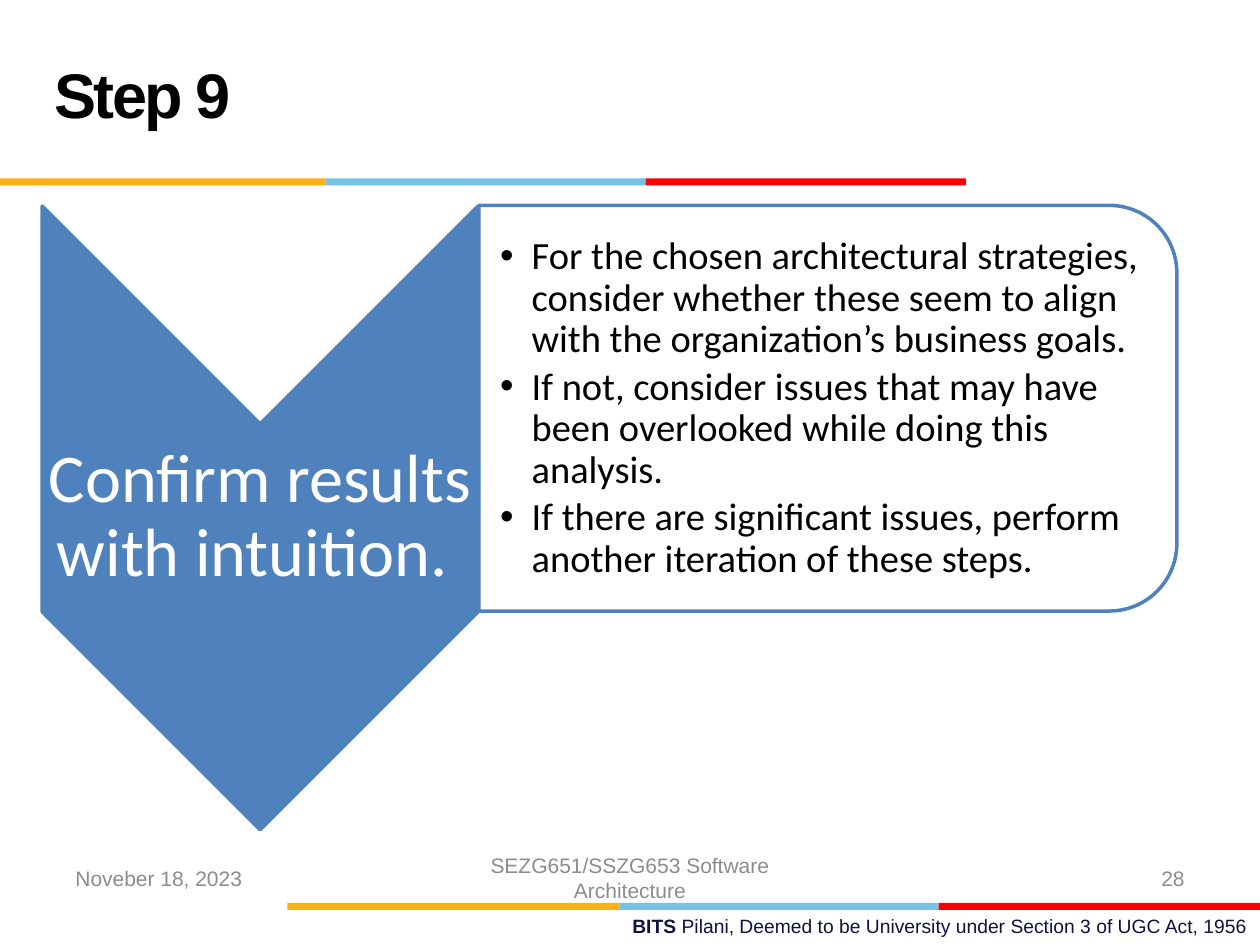
from itertools import pairwise
from lxml.etree import SubElement
from pptx import Presentation
from pptx.dml.color import RGBColor
from pptx.enum.shapes import MSO_SHAPE
from pptx.enum.text import MSO_ANCHOR, PP_ALIGN
from pptx.oxml.ns import qn
from pptx.util import Inches, Pt

COLS, ROWS = 120, 90
WIDTH, HEIGHT = Inches(10), Inches(7.5)
COLORS = {
    "amber": "FCB017", "sky": "76C2E5", "red": "FF0000", "blue": "4F81BD",
    "white": "FFFFFF", "black": "000000", "gray": "8C8C8C", "navy": "101141",
}
POINTS = [
    "For the chosen architectural strategies, consider whether these seem to align with the organization’s business goals.",
    "If not, consider issues that may have been overlooked while doing this analysis.",
    "If there are significant issues, perform another iteration of these steps.",
]


def color(name):
    return RGBColor.from_string(COLORS[name])


def grid(x, y, w, h):
    cx, cy = WIDTH / COLS, HEIGHT / ROWS
    return [round(v) for v in (x * cx, y * cy, w * cx, h * cy)]


def add_shape(s, kind, box, fill, line=None, rotation=0):
    sp = s.shapes.add_shape(kind, *grid(*box))
    sp.shadow.inherit = False
    sp.rotation = rotation
    sp.fill.solid()
    sp.fill.fore_color.rgb = color(fill)
    if line:
        sp.line.color.rgb = color(line)
        sp.line.width = Pt(2)
    else:
        sp.line.fill.background()


def add_stripe(s, edges, y):
    for (left, right), fill in zip(pairwise(edges), ("amber", "sky", "red")):
        add_shape(s, MSO_SHAPE.RECTANGLE, (left, y, right - left, 0.66), fill)


def add_text(s, box, lines, size, ink, font="Arial", align=PP_ALIGN.LEFT,
             anchor=MSO_ANCHOR.MIDDLE, insets=None, spacing=None):
    tf = s.shapes.add_textbox(*grid(*box)).text_frame
    tf.word_wrap = True
    tf.vertical_anchor = anchor
    if insets:
        tf.margin_left, tf.margin_top, tf.margin_right, tf.margin_bottom = map(Inches, insets)
    tf.text = "\n".join(lines)
    for p in tf.paragraphs:
        p.alignment = align
        p.line_spacing = spacing
        for r in p.runs:
            r.font.name = font
            r.font.size = Pt(size)
            r.font.color.rgb = color(ink)
    return tf


def add_bullets(tf, indent, gap):
    for p in tf.paragraphs:
        p.space_after = Pt(gap)
        pPr = p._p.get_or_add_pPr()
        pPr.set("marL", str(Inches(indent)))
        pPr.set("indent", str(-Inches(indent)))
        SubElement(pPr, qn("a:buFont"), typeface="Arial")
        SubElement(pPr, qn("a:buChar"), char="•")


def add_title(s, text):
    tf = add_text(s, (4, 2, 83, 15), [text], 36, "black", spacing=Pt(36))
    r = tf.paragraphs[0].runs[0]
    r.font.bold = True
    r.font._element.set("spc", "-150")


def add_step(s, label, points):
    add_shape(s, MSO_SHAPE.CHEVRON, (-4.92, 28.56, 59.4, 41.52), "blue", "blue", 90)
    add_text(s, (4, 40.4, 41.5, 17.8), [label], 39, "white", "Calibri",
             PP_ALIGN.CENTER, insets=[0.03] * 4, spacing=0.9)
    add_shape(s, MSO_SHAPE.ROUND_2_SAME_RECTANGLE, (59.52, 5.64, 38.64, 66.48),
              "white", "blue", 90)
    tf = add_text(s, (45.6, 21.5, 64.5, 34.8), points, 22, "black", "Calibri",
                  insets=(0.17, 0.02, 0.02, 0.02), spacing=0.9)
    add_bullets(tf, 0.25, 3.3)


def add_footer(s):
    add_text(s, (6, 81.2, 28, 4.8), ["Noveber 18, 2023"], 12, "gray")
    add_text(s, (41, 81.2, 38, 4.8), ["SEZG651/SSZG653 Software Architecture"],
             12, "gray", align=PP_ALIGN.CENTER)
    add_text(s, (86, 81.2, 28, 4.8), ["28"], 12, "gray", align=PP_ALIGN.RIGHT)


def add_affiliation(s):
    tf = add_text(s, (43, 86.5, 77, 3.5), ["BITS "], 11, "navy",
                  align=PP_ALIGN.RIGHT, anchor=MSO_ANCHOR.TOP)
    p = tf.paragraphs[0]
    p.runs[0].font.bold = True
    r = p.add_run()
    r.text = "Pilani, Deemed to be University under Section 3 of UGC Act, 1956"
    r.font.name = "Arial"
    r.font.size = Pt(11)
    r.font.color.rgb = color("navy")


def main():
    prs = Presentation()
    prs.slide_width, prs.slide_height = WIDTH, HEIGHT
    s = prs.slides.add_slide(prs.slide_layouts[6])
    add_affiliation(s)
    add_stripe(s, (27.36, 59, 89.4, COLS), 86)
    add_stripe(s, (0, 31, 61.5, 92), 17)
    add_step(s, "Confirm results with intuition. ", POINTS)
    add_title(s, "Step 9")
    add_footer(s)
    prs.save("out.pptx")


if __name__ == "__main__":
    main()
